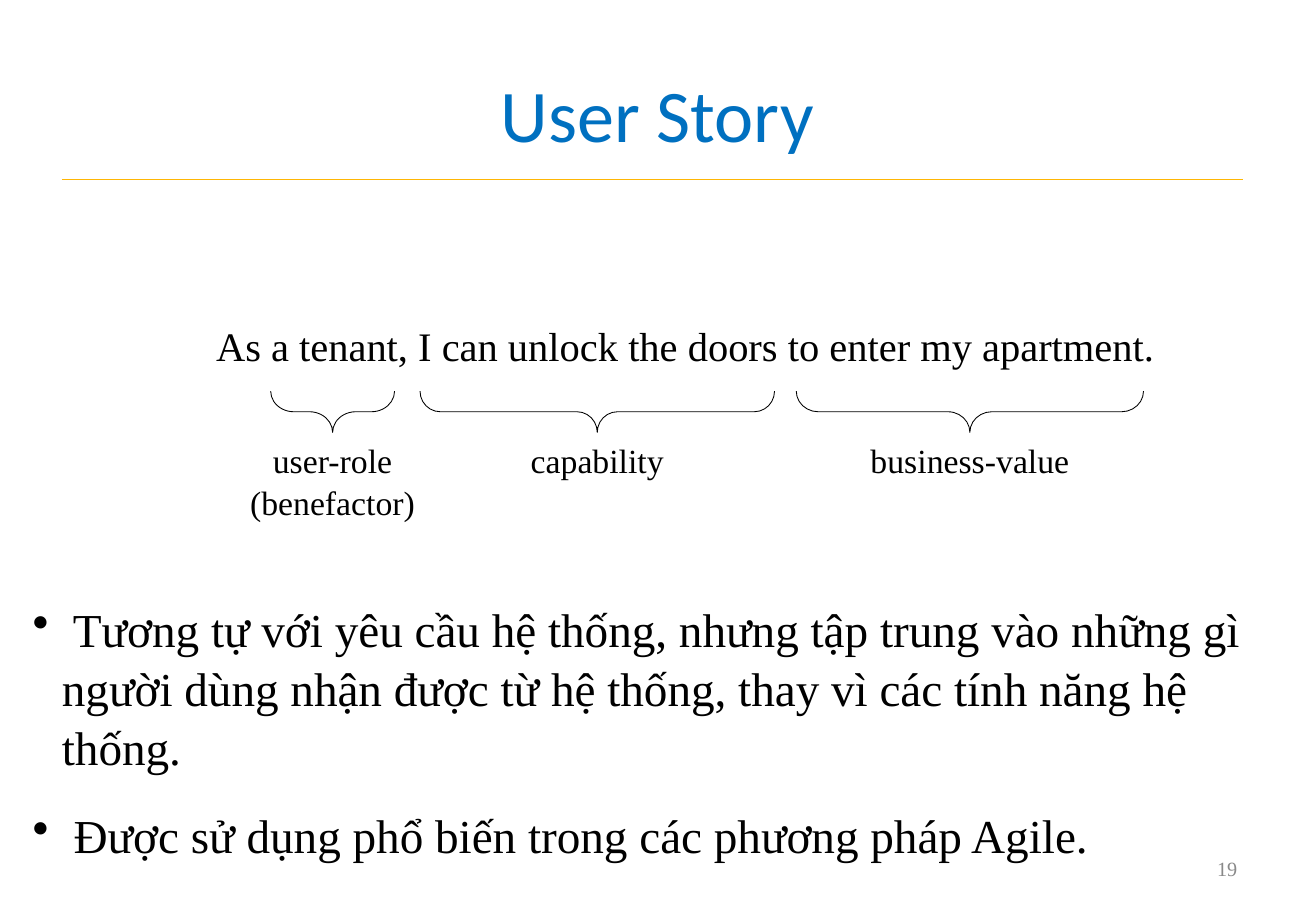
from dataclasses import dataclass

from lxml import etree
from pptx import Presentation
from pptx.dml.color import RGBColor
from pptx.enum.shapes import MSO_CONNECTOR, MSO_SHAPE
from pptx.enum.text import MSO_ANCHOR, PP_ALIGN
from pptx.oxml.ns import qn
from pptx.util import Inches, Pt

STRAIGHT = MSO_CONNECTOR.STRAIGHT
LEFT_BRACE = MSO_SHAPE.LEFT_BRACE
TOP, MIDDLE = MSO_ANCHOR.TOP, MSO_ANCHOR.MIDDLE
LEFT, CENTER, RIGHT = PP_ALIGN.LEFT, PP_ALIGN.CENTER, PP_ALIGN.RIGHT


@dataclass(frozen=True)
class Theme:
    """Fonts, colours and type sizes of the slide."""

    heading_font: str = "Calibri"
    body_font: str = "Times New Roman"
    heading: str = "0070C0"
    ink: str = "000000"
    muted: str = "898989"
    rule: str = "FEB604"
    title_size: float = 44
    story_size: float = 24
    label_size: float = 20
    bullet_size: float = 28
    number_size: float = 12
    line_spacing: float = 1.04
    bullet_gap: float = 17.5


THEME = Theme()
BRACE_TOP = 3.22
BRACE_DEPTH = 0.34
LABEL_TOP = 3.61
LABEL_LINE = 0.34
BULLET_INDENT = 0.24

STORY = "As a tenant, I can unlock the doors to enter my apartment."
STORY_PARTS = [
    (2.23, 3.25, 0.56, 1.36, ["user-role", "(benefactor)"]),
    (3.46, 6.38, 0.49, 1.1, ["capability"]),
    (6.56, 9.42, 0.53, 1.64, ["business-value"]),
]
BULLETS = [
    " Tương tự với yêu cầu hệ thống, nhưng tập trung vào những gì "
    "người dùng nhận được từ hệ thống, thay vì các tính năng hệ thống.",
    " Được sử dụng phổ biến trong các phương pháp Agile.",
]


def add_text(slide, box, lines, size, color=THEME.ink, font=THEME.body_font,
             align=LEFT, anchor=TOP, insets=(0, 0, 0, 0), wrap=True, spacing=None):
    """Add a text box with one paragraph per line and return its paragraphs."""
    shape = slide.shapes.add_textbox(*map(Inches, box))
    frame = shape.text_frame
    frame.word_wrap = wrap
    frame.vertical_anchor = anchor
    (frame.margin_left, frame.margin_top,
     frame.margin_right, frame.margin_bottom) = map(Inches, insets)
    for index, line in enumerate(lines):
        paragraph = frame.add_paragraph() if index else frame.paragraphs[0]
        paragraph.alignment = align
        if spacing:
            paragraph.line_spacing = spacing
        run = paragraph.add_run()
        run.text = line
        run.font.name = font
        run.font.size = Pt(size)
        run.font.color.rgb = RGBColor.from_string(color)
    return frame.paragraphs


def add_rule(slide, left, right, top):
    """Add the horizontal rule below the title."""
    rule = slide.shapes.add_connector(
        STRAIGHT, Inches(left), Inches(top), Inches(right), Inches(top))
    rule.line.color.rgb = RGBColor.from_string(THEME.rule)
    rule.line.width = Pt(0.75)
    etree.SubElement(rule._element.spPr, qn("a:effectLst"))


def add_brace(slide, left, right, curve):
    """Add a brace that spans part of the story and points down."""
    length = right - left
    center_x, center_y = (left + right) / 2, BRACE_TOP + BRACE_DEPTH / 2
    brace = slide.shapes.add_shape(
        LEFT_BRACE, Inches(center_x - BRACE_DEPTH / 2),
        Inches(center_y - length / 2), Inches(BRACE_DEPTH), Inches(length))
    brace.rotation = 270
    brace.adjustments[0] = curve
    brace.shadow.inherit = False
    brace.fill.background()
    brace.line.color.rgb = RGBColor.from_string(THEME.ink)
    brace.line.width = Pt(0.5)


def add_story_part(slide, left, right, curve, width, lines):
    """Add a brace with its label centred below."""
    add_brace(slide, left, right, curve)
    box = ((left + right - width) / 2, LABEL_TOP, width,
           LABEL_LINE * len(lines) + 0.05)
    add_text(slide, box, lines, THEME.label_size, align=CENTER,
             insets=(0, 0, 0, 0.05), wrap=False, spacing=THEME.line_spacing)


def add_bullets(slide, box, lines):
    """Add a bulleted list with hanging indents."""
    for paragraph in add_text(slide, box, lines, THEME.bullet_size,
                              spacing=THEME.line_spacing):
        paragraph.space_before = Pt(THEME.bullet_gap)
        properties = paragraph._p.get_or_add_pPr()
        properties.set("marL", str(Inches(BULLET_INDENT)))
        properties.set("indent", str(-Inches(BULLET_INDENT)))
        etree.SubElement(properties, qn("a:buChar"), char="•")


def main():
    """Build the slide and save it."""
    presentation = Presentation()
    presentation.slide_width = Inches(10.84)
    presentation.slide_height = Inches(7.5)
    slide = presentation.slides.add_slide(presentation.slide_layouts[6])

    add_rule(slide, 0.51, 10.24, 1.48)
    add_text(slide, (7.76, 6.95, 2.53, 0.4), ["19"], THEME.number_size,
             THEME.muted, align=RIGHT, anchor=MIDDLE,
             insets=(0.1, 0.05, 0.1, 0.05))
    add_text(slide, (0.54, 0.3, 9.75, 1.25), ["User Story"], THEME.title_size,
             THEME.heading, THEME.heading_font, CENTER, MIDDLE,
             (0.1, 0.05, 0.1, 0.05))
    add_text(slide, (1.78, 2.58, 7.73, 0.5), [STORY], THEME.story_size,
             insets=(0, 0.05, 0, 0.05), wrap=False, spacing=THEME.line_spacing)
    for part in STORY_PARTS:
        add_story_part(slide, *part)
    add_bullets(slide, (0.27, 4.92, 10.06, 2.11), BULLETS)

    presentation.save("out.pptx")


if __name__ == "__main__":
    main()
